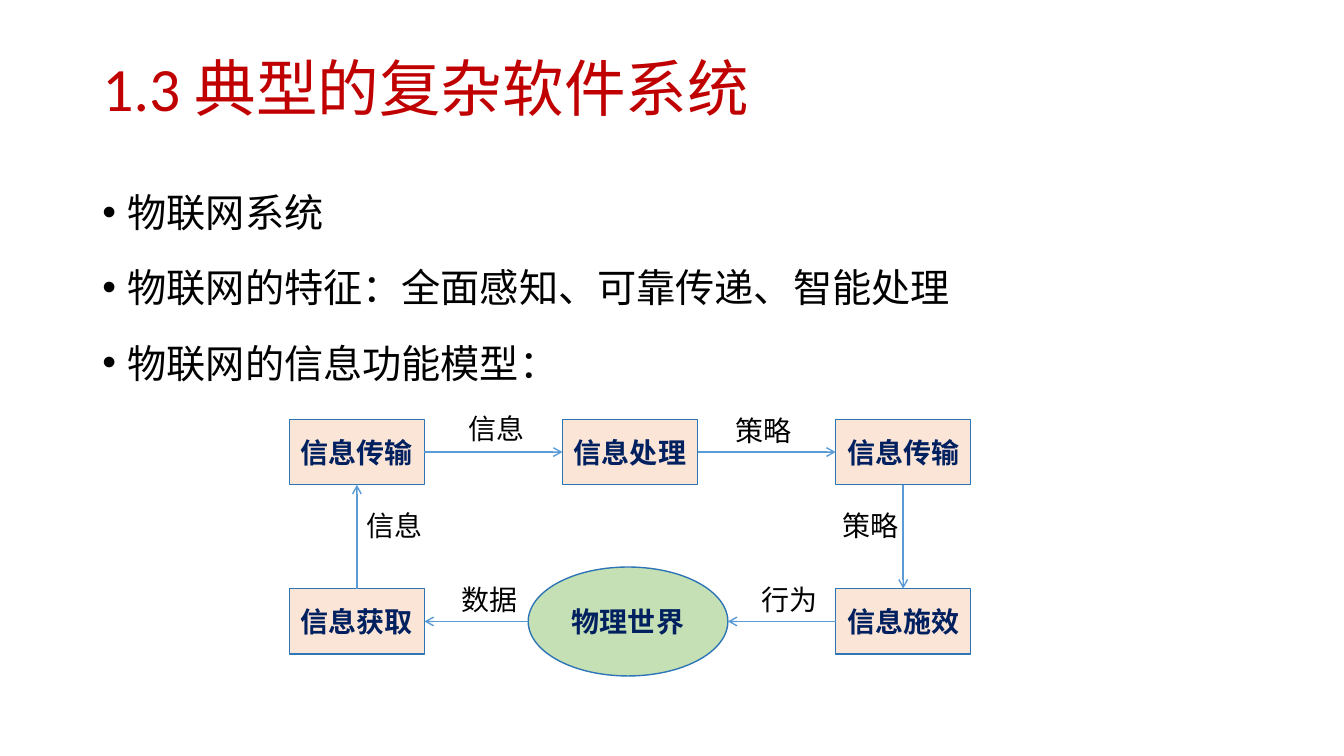
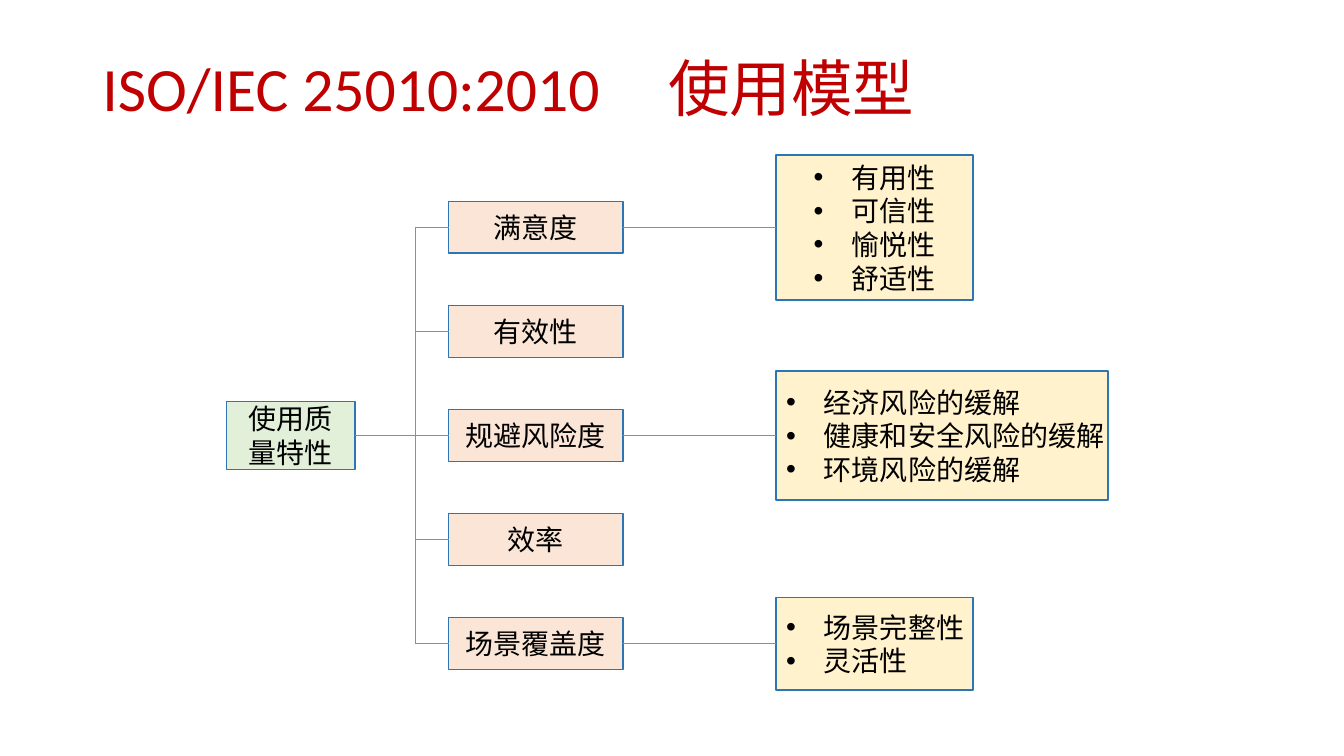
"""Build two slides on complex software systems and the quality-in-use model."""
from dataclasses import dataclass, replace
from typing import NamedTuple, Optional

from lxml import etree
from pptx import Presentation
from pptx import util as u
from pptx.dml.color import RGBColor
from pptx.enum import shapes, text
from pptx.oxml import ns

TOP, LEFT, BOTTOM, RIGHT = range(4)
ALIGN = text.PP_ALIGN


@dataclass(frozen=True)
class Theme:
    font: str = "Calibri"
    title: str = "C00000"
    ink: str = "000000"
    navy: str = "002060"
    peach: str = "FBE5D6"
    green: str = "C5E0B4"
    mint: str = "E2F0D9"
    cream: str = "FFF2CC"
    outline: str = "2E75B6"
    connector: str = "5B9BD5"
    title_size: float = 44
    body_size: float = 28
    label_size: float = 20
    line_width: float = 1


THEME = Theme()


@dataclass(frozen=True)
class TextStyle:
    size: float = THEME.label_size
    color: str = THEME.ink
    bold: bool = False
    align: ALIGN = ALIGN.CENTER
    spacing: float = 1
    before: float = 0
    bullet_indent: float = 0
    tab_stop: float = 0


TITLE = TextStyle(THEME.title_size, THEME.title, align=ALIGN.LEFT, spacing=0.9, tab_stop=404)
BODY = TextStyle(THEME.body_size, align=ALIGN.LEFT, spacing=1.3, before=10, bullet_indent=18)
NODE = TextStyle(color=THEME.navy, bold=True)
PLAIN = TextStyle()
LABEL = TextStyle(align=ALIGN.LEFT)
CENTERED_LIST = TextStyle(bullet_indent=27)
LEFT_LIST = replace(CENTERED_LIST, align=ALIGN.LEFT)


class Box(NamedTuple):
    left: float
    top: float
    width: float
    height: float

    def lengths(self) -> list:
        return [u.Pt(value) for value in self]


class Node(NamedTuple):
    key: str
    caption: str
    box: Box
    fill: str = THEME.peach
    kind: shapes.MSO_SHAPE = shapes.MSO_SHAPE.RECTANGLE


class Arrow(NamedTuple):
    start: str
    start_side: int
    end: str
    end_side: int


class Label(NamedTuple):
    caption: str
    left: float
    top: float


class Leaf(NamedTuple):
    lines: list
    width: float
    height: float
    style: TextStyle = LEFT_LIST
    right_inset: float = 0


class Branch(NamedTuple):
    caption: str
    leaf: Optional[Leaf] = None


TITLE_BOX = Box(66, 29, 828, 73)
BODY_BOX = Box(66, 121, 828, 168.5)
COLUMNS = [206.7 + 195.1 * column for column in range(3)]
ROWS = [299.5, 420.5]


def cell(column: int, row: int) -> Box:
    return Box(COLUMNS[column], ROWS[row], 96.5, 46.8)


NODES = [
    Node("collect", "信息获取", cell(0, 1)),
    Node("send", "信息传输", cell(0, 0)),
    Node("process", "信息处理", cell(1, 0)),
    Node("deliver", "信息传输", cell(2, 0)),
    Node("act", "信息施效", cell(2, 1)),
    Node("world", "物理世界", Box(377.3, 405, 142.6, 77.8), THEME.green, shapes.MSO_SHAPE.OVAL),
]
ARROWS = [
    Arrow("send", RIGHT, "process", LEFT),
    Arrow("process", RIGHT, "deliver", LEFT),
    Arrow("deliver", BOTTOM, "act", TOP),
    Arrow("act", LEFT, "world", RIGHT),
    Arrow("world", LEFT, "collect", RIGHT),
    Arrow("collect", TOP, "send", BOTTOM),
]
LABELS = [
    Label("信息", 327.6, 290.2),
    Label("策略", 518.4, 291.9),
    Label("策略", 594.7, 360),
    Label("行为", 537, 412.2),
    Label("信息", 255, 360),
    Label("数据", 322.6, 412.2),
]
BRANCHES = [
    Branch("满意度", Leaf(["有用性", "可信性", "愉悦性", "舒适性"], 140.5, 103.7, CENTERED_LIST, 7.2)),
    Branch("有效性"),
    Branch("规避风险度", Leaf(["经济风险的缓解", "健康和安全风险的缓解", "环境风险的缓解"], 237, 92.2)),
    Branch("效率"),
    Branch("场景覆盖度", Leaf(["场景完整性", "灵活性"], 140.5, 66.2)),
]


def write(frame, lines: list, style: TextStyle) -> None:
    frame.word_wrap = True
    for index, line in enumerate(lines):
        para = frame.add_paragraph() if index else frame.paragraphs[0]
        props = para._p.get_or_add_pPr()
        if style.bullet_indent:
            indent = int(u.Pt(style.bullet_indent))
            props.set("marL", str(indent))
            props.set("indent", str(-indent))
            etree.SubElement(props, ns.qn("a:buFont"), typeface="Arial")
            etree.SubElement(props, ns.qn("a:buChar"), char="•")
        if "\t" in line:
            tabs = etree.SubElement(props, ns.qn("a:tabLst"))
            etree.SubElement(tabs, ns.qn("a:tab"), pos=str(int(u.Pt(style.tab_stop))), algn="l")
        para.alignment = style.align
        para.line_spacing = style.spacing
        para.space_before = u.Pt(style.before if index else 0)
        span = para.add_run()
        span.text = line
        span.font.name = THEME.font
        span.font.size = u.Pt(style.size)
        span.font.bold = style.bold
        span.font.color.rgb = RGBColor.from_string(style.color)


def fill_placeholder(holder, box: Box, lines: list, style: TextStyle, anchor) -> None:
    holder.left, holder.top, holder.width, holder.height = box.lengths()
    holder.text_frame.auto_size = text.MSO_AUTO_SIZE.NONE
    holder.text_frame.vertical_anchor = anchor
    write(holder.text_frame, lines, style)


def add_page(deck, layout: int, title: str):
    page = deck.slides.add_slide(deck.slide_layouts[layout])
    fill_placeholder(page.shapes.title, TITLE_BOX, [title], TITLE, text.MSO_ANCHOR.MIDDLE)
    return page


def add_block(page, box: Box, lines: list, fill: str, style: TextStyle,
              kind=shapes.MSO_SHAPE.RECTANGLE, right_inset: float = 7.2):
    block = page.shapes.add_shape(kind, *box.lengths())
    block.shadow.inherit = False
    block.fill.solid()
    block.fill.fore_color.rgb = RGBColor.from_string(fill)
    block.line.color.rgb = RGBColor.from_string(THEME.outline)
    block.line.width = u.Pt(THEME.line_width)
    block.text_frame.vertical_anchor = text.MSO_ANCHOR.MIDDLE
    block.text_frame.margin_right = u.Pt(right_inset)
    write(block.text_frame, lines, style)
    return block


def side_point(block, side: int) -> tuple:
    across = {LEFT: 0, RIGHT: block.width}.get(side, block.width // 2)
    down = {TOP: 0, BOTTOM: block.height}.get(side, block.height // 2)
    return block.left + across, block.top + down


def add_line(page, start: tuple, end: tuple, arrow: bool = False):
    line = page.shapes.add_connector(shapes.MSO_CONNECTOR.STRAIGHT, *start, *end)
    line.line.color.rgb = RGBColor.from_string(THEME.connector)
    line.line.width = u.Pt(THEME.line_width)
    props = line.element.spPr
    if arrow:
        etree.SubElement(props.find(ns.qn("a:ln")), ns.qn("a:tailEnd"), type="arrow")
    etree.SubElement(props, ns.qn("a:effectLst"))
    return line


def link(page, start, start_side: int, end, end_side: int, arrow: bool = False) -> None:
    line = add_line(page, side_point(start, start_side), side_point(end, end_side), arrow)
    if start.auto_shape_type == shapes.MSO_SHAPE.RECTANGLE:
        line.begin_connect(start, start_side)
    if end.auto_shape_type == shapes.MSO_SHAPE.RECTANGLE:
        line.end_connect(end, end_side)


def add_internet_of_things(deck) -> None:
    page = add_page(deck, 1, "1.3 典型的复杂软件系统")
    topics = ["物联网系统", "物联网的特征：全面感知、可靠传递、智能处理", "物联网的信息功能模型："]
    fill_placeholder(page.placeholders[1], BODY_BOX, topics, BODY, text.MSO_ANCHOR.TOP)
    blocks = {node.key: add_block(page, node.box, [node.caption], node.fill, NODE, node.kind)
              for node in NODES}
    for arrow in ARROWS:
        link(page, blocks[arrow.start], arrow.start_side,
             blocks[arrow.end], arrow.end_side, arrow=True)
    for label in LABELS:
        box = Box(label.left, label.top, 96.5, 31.5)
        write(page.shapes.add_textbox(*box.lengths()).text_frame, [label.caption], LABEL)


def add_quality_model(deck) -> None:
    page = add_page(deck, 5, "ISO/IEC 25010:2010\t使用模型")
    trunk, first_center, step = u.Pt(296.6), 162.5, 74.3
    centers = [first_center + step * index for index in range(len(BRANCHES))]
    root_box = Box(162, centers[len(centers) // 2] - 24.1, 91.5, 48.2)
    root = add_block(page, root_box, ["使用质量特性"], THEME.mint, PLAIN)
    start = side_point(root, RIGHT)
    add_line(page, start, (trunk, start[1])).begin_connect(root, RIGHT)
    add_line(page, (trunk, u.Pt(centers[0])), (trunk, u.Pt(centers[-1])))
    for branch, center in zip(BRANCHES, centers):
        box = Box(320.4, center - 18.4, 124.6, 36.8)
        block = add_block(page, box, [branch.caption], THEME.peach, PLAIN)
        start = side_point(block, LEFT)
        add_line(page, start, (trunk, start[1])).begin_connect(block, LEFT)
        leaf = branch.leaf
        if leaf:
            leaf_box = Box(554.4, center - leaf.height / 2, leaf.width, leaf.height)
            detail = add_block(page, leaf_box, leaf.lines, THEME.cream, leaf.style,
                               right_inset=leaf.right_inset)
            link(page, block, RIGHT, detail, LEFT)


def main() -> None:
    deck = Presentation()
    deck.slide_width, deck.slide_height = u.Pt(960), u.Pt(540)
    add_internet_of_things(deck)
    add_quality_model(deck)
    deck.save("out.pptx")


if __name__ == "__main__":
    main()
